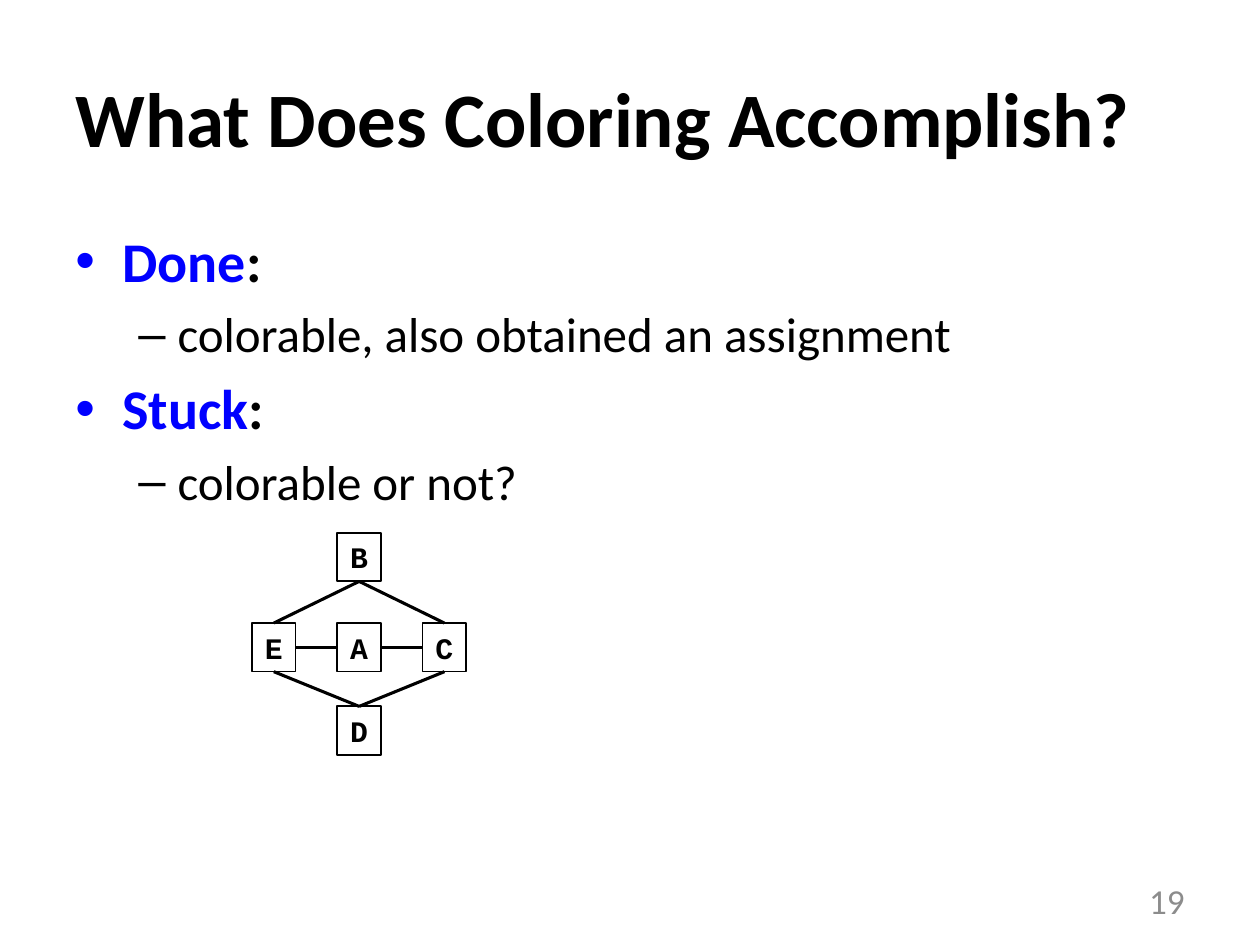
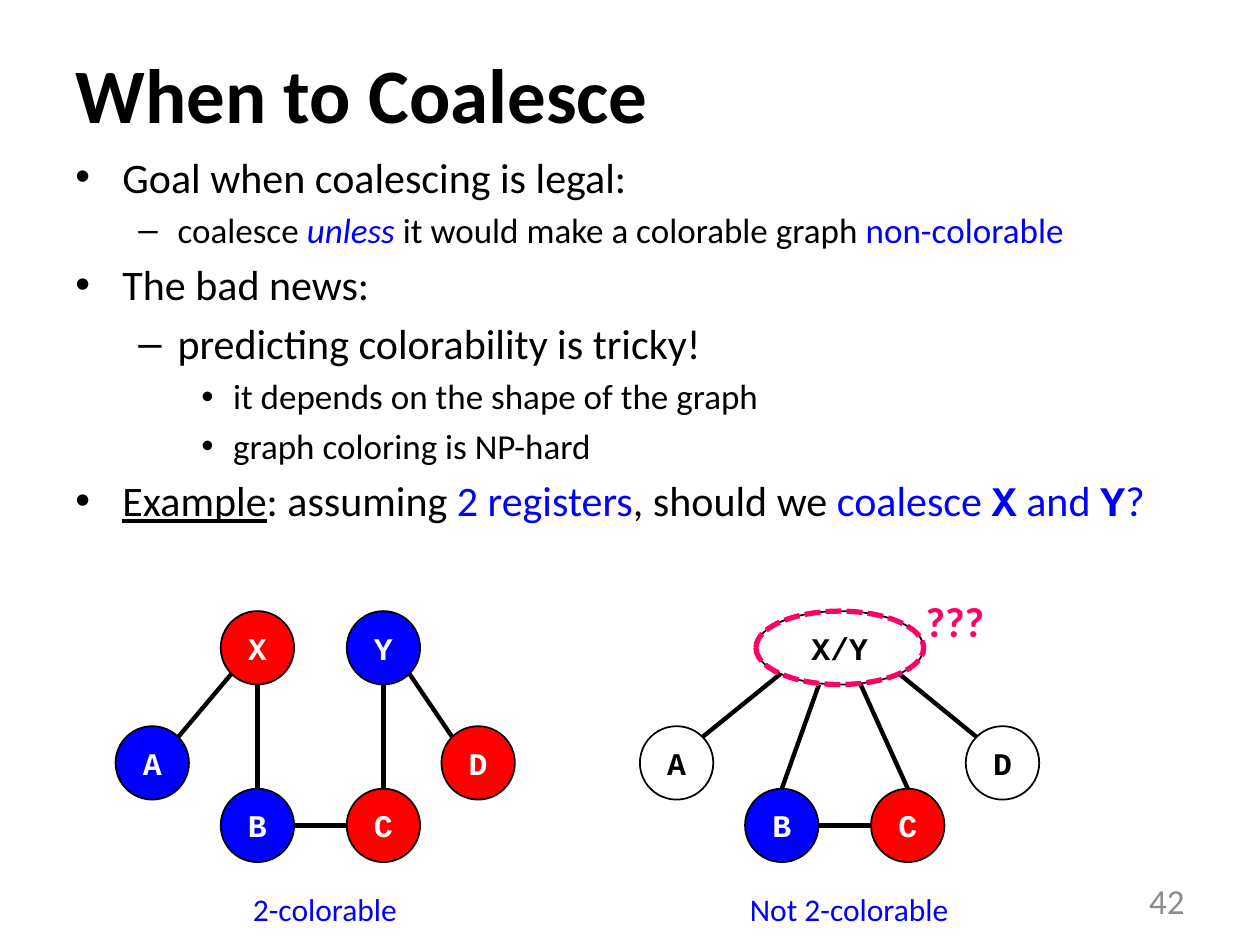
import math
import lxml.etree
import pptx
import pptx.dml.color
import pptx.enum.dml
import pptx.enum.shapes
import pptx.enum.text
import pptx.oxml.ns
import pptx.util

Cm = pptx.util.Cm
Pt = pptx.util.Pt
ALIGN = pptx.enum.text.PP_ALIGN
ANCHOR = pptx.enum.text.MSO_ANCHOR
FORMS = pptx.enum.shapes.MSO_SHAPE

BLACK, WHITE, GREY = "000000", "FFFFFF", "8C8C8C"
BLUE, RED, PINK = "0000FF", "FF0000", "FF0066"
SANS, MONO = "Calibri", "Courier New"

BASE = {"name": SANS, "ink": BLACK, "bold": False}
TITLE = {**BASE, "size": Pt(44), "bold": True}
NUMBER = {**BASE, "size": Pt(20), "ink": GREY}
NOTE = {**BASE, "size": Pt(18), "ink": BLUE}
DOUBT = {**BASE, "size": Pt(24), "ink": PINK, "bold": True}
CODE = {"name": MONO, "bold": True}
HUE = {"ink": BLUE}

BULLETS = [("•", 0.95, 0.95), ("–", 2.06, 0.79), ("•", 3.18, 0.64)]
WEST, EAST, NORTH, SOUTH = (-1, 0), (1, 0), (0, -1), (0, 1)
NW, NE, SW, SE = (-1, -1), (1, -1), (-1, 1), (1, 1)


def paint(code):
    return pptx.dml.color.RGBColor.from_string(code)


def style(font, form):
    for key, value in form.items():
        if key == "ink":
            font.color.rgb = paint(value)
        else:
            setattr(font, key, value)


def frame(slide, box, **form):
    text = slide.shapes.add_textbox(*map(Cm, box)).text_frame
    for key, value in {"word_wrap": True, **form}.items():
        setattr(text, key, value)
    return text


def write(text, words, form, align=ALIGN.LEFT):
    line = text.paragraphs[0]
    line.alignment = align
    run = line.add_run()
    run.text = words
    style(run.font, form)


def bullet(line, level, hue):
    mark, left, hang = BULLETS[level]
    props = line._p.get_or_add_pPr()
    props.set("marL", str(Cm(left)))
    props.set("indent", str(-Cm(hang)))
    tag = pptx.oxml.ns.qn
    tint = lxml.etree.SubElement(props, tag("a:buClr"))
    lxml.etree.SubElement(tint, tag("a:srgbClr"), val=hue)
    lxml.etree.SubElement(props, tag("a:buFont"), typeface="Arial")
    lxml.etree.SubElement(props, tag("a:buChar"), char=mark)


def body(slide, box, items):
    text = frame(slide, box)
    for spot, (level, size, runs) in enumerate(items):
        line = text.add_paragraph() if spot else text.paragraphs[0]
        line.level = level
        bullet(line, level, runs[0][1].get("ink", BLACK))
        if spot:
            line.space_before = Pt(size * 0.2)
        style(line.font, {**BASE, "size": Pt(size)})
        for words, form in runs:
            run = line.add_run()
            run.text = words
            style(run.font, {**BASE, "size": Pt(size), **form})


def page(deck, title, top, number):
    slide = deck.slides.add_slide(deck.slide_layouts[6])
    head = frame(slide, (1.27, top, 22.86, 3.18), vertical_anchor=ANCHOR.MIDDLE)
    write(head, title, TITLE)
    foot = frame(slide, (18.2, 17.65, 5.93, 1.02), vertical_anchor=ANCHOR.MIDDLE)
    write(foot, number, NUMBER, ALIGN.RIGHT)
    return slide


def outline(slide, kind, box, fill=None, ink=BLACK, width=1):
    shape = slide.shapes.add_shape(kind, *map(Cm, box))
    shape.shadow.inherit = False
    if fill:
        shape.fill.solid()
        shape.fill.fore_color.rgb = paint(fill)
    else:
        shape.fill.background()
    shape.line.color.rgb = paint(ink)
    shape.line.width = Pt(width)
    return shape


def node(slide, kind, box, name, size, fill=None):
    text = outline(slide, kind, box, fill).text_frame
    form = {"word_wrap": False, "vertical_anchor": ANCHOR.MIDDLE,
            "margin_left": 0, "margin_right": 0}
    for key, value in form.items():
        setattr(text, key, value)
    ink = WHITE if fill else BLACK
    write(text, name, {**CODE, "size": Pt(size), "ink": ink}, ALIGN.CENTER)


def site(box, way):
    left, top, wide, high = box
    span = 2 * math.hypot(*way)
    return left + wide * (0.5 + way[0] / span), top + high * (0.5 + way[1] / span)


def link(slide, start, end, width):
    kind = pptx.enum.shapes.MSO_CONNECTOR.STRAIGHT
    line = slide.shapes.add_connector(kind, *map(Cm, (*start, *end)))
    line.line.color.rgb = paint(BLACK)
    line.line.width = Pt(width)
    props = line._element.spPr
    lxml.etree.SubElement(props, pptx.oxml.ns.qn("a:effectLst"))


def graph(slide, kind, boxes, edges, fills, size, width):
    for first, way, last, back, shift in edges:
        x, y = site(boxes[first], way)
        link(slide, (x + shift, y), site(boxes[last], back), width)
    for name, box in boxes.items():
        node(slide, kind, box, name, size, fills.get(name))


def diamond(slide, left, top):
    cells = {"B": (1, 0), "E": (0, 1.82), "A": (1, 1.82),
             "C": (2, 1.82), "D": (1, 3.5)}
    boxes = {name: (left + 1.72 * col, top + down, 0.88, 0.98)
             for name, (col, down) in cells.items()}
    edges = [("B", SOUTH, "C", NORTH, 0), ("B", SOUTH, "E", NORTH, 0),
             ("C", SOUTH, "D", NORTH, 0), ("E", SOUTH, "D", NORTH, 0),
             ("A", EAST, "C", WEST, 0), ("E", EAST, "A", WEST, 0)]
    graph(slide, FORMS.RECTANGLE, boxes, edges, {}, 17, 1.75)


def arch(slide, left, top, heads, edges, fills, note):
    low = {"A": (0, 2.32), "D": (6.57, 2.32), "B": (2.12, 3.58), "C": (4.66, 3.58)}
    spots = {**{name: (*spot, 1.48) for name, spot in low.items()}, **heads}
    boxes = {name: (left + x, top + y, wide, 1.48)
             for name, (x, y, wide) in spots.items()}
    edges = edges + [("C", WEST, "B", EAST, 0)]
    graph(slide, FORMS.OVAL, boxes, edges, fills, 18, 2.5)
    label = frame(slide, (left + 1.72, top + 5.49, 5, 1.02))
    write(label, note, NOTE, ALIGN.CENTER)
    return boxes


def split(slide, left, top):
    heads = {"X": (2.12, 0, 1.48), "Y": (4.66, 0, 1.48)}
    edges = [("X", SW, "A", NE, 0), ("X", SOUTH, "B", NORTH, 0),
             ("Y", SOUTH, "C", NORTH, 0), ("Y", SE, "D", NW, 0)]
    fills = {**dict.fromkeys("ABY", BLUE), **dict.fromkeys("CDX", RED)}
    arch(slide, left, top, heads, edges, fills, "2-colorable")


def merged(slide, left, top):
    heads = {"X/Y": (2.34, 0, 3.38)}
    edges = [("X/Y", SW, "A", NE, 0), ("X/Y", SOUTH, "B", NORTH, -0.42),
             ("X/Y", SOUTH, "C", NORTH, 0.42), ("X/Y", SE, "D", NW, 0)]
    fills = {"B": BLUE, "C": RED}
    boxes = arch(slide, left, top, heads, edges, fills, "Not 2-colorable")
    ring = outline(slide, FORMS.OVAL, boxes["X/Y"], ink=PINK, width=3)
    ring.line.dash_style = pptx.enum.dml.MSO_LINE.SQUARE_DOT
    doubt = frame(slide, (left + 5.51, top - 0.43, 1.7, 1.27), word_wrap=False)
    write(doubt, "???", DOUBT)


def result(deck):
    slide = page(deck, "What Does Coloring Accomplish?", 0.76, "19")
    bold = {"bold": True}
    body(slide, (1.27, 4.45, 22.86, 12.57), [
        (0, 32, [("Done", {**bold, **HUE}), (":", bold)]),
        (1, 28, [("colorable, also obtained an assignment", {})]),
        (0, 32, [("Stuck", {**bold, **HUE}), (":", bold)]),
        (1, 28, [("colorable or not?", {})]),
    ])
    diamond(slide, 5.08, 10.74)


def choice(deck):
    slide = page(deck, "When to Coalesce", 0.28, "42")
    body(slide, (1.27, 2.92, 23.62, 9.8), [
        (0, 24, [("Goal when coalescing is legal:", {})]),
        (1, 20, [("coalesce ", {}), ("unless ", {**HUE, "italic": True}),
                 ("it would make a colorable graph ", {}), ("non-colorable", HUE)]),
        (0, 24, [("The bad news:", {})]),
        (1, 24, [("predicting colorability is tricky!", {})]),
        (2, 20, [("it depends on the shape of the graph", {})]),
        (2, 20, [("graph coloring is NP-hard", {})]),
        (0, 24, [("Example", {"underline": True}), (": assuming ", {}),
                 ("2 registers", HUE), (", should we ", {}), ("coalesce ", HUE),
                 ("X", {**HUE, **CODE}), (" and ", HUE),
                 ("Y", {**HUE, **CODE}), ("?", HUE)]),
    ])
    split(slide, 2.33, 12.32)
    merged(slide, 12.9, 12.32)


def main():
    deck = pptx.Presentation()
    deck.slide_width, deck.slide_height = Cm(25.4), Cm(19.05)
    result(deck)
    choice(deck)
    deck.save("out.pptx")


if __name__ == "__main__":
    main()
